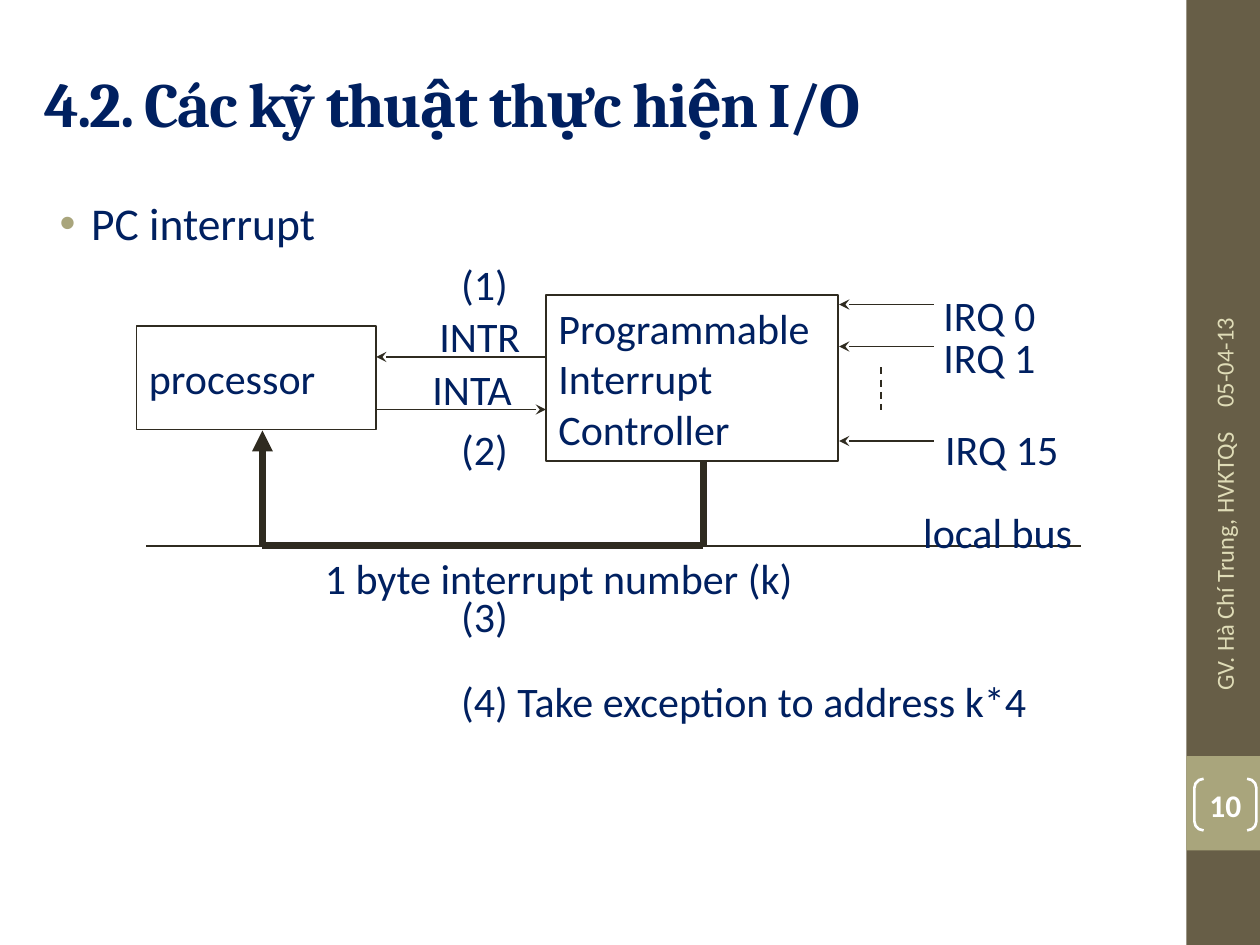
from lxml import etree
from pptx import Presentation
from pptx.dml.color import RGBColor
from pptx.enum.dml import MSO_LINE
from pptx.enum.shapes import MSO_CONNECTOR, MSO_SHAPE
from pptx.enum.text import MSO_ANCHOR, PP_ALIGN
from pptx.oxml.ns import qn
from pptx.util import Pt

RECT, BRACKETS = MSO_SHAPE.RECTANGLE, MSO_SHAPE.DOUBLE_BRACKET
STRAIGHT, DASH = MSO_CONNECTOR.STRAIGHT, MSO_LINE.DASH
TOP, MIDDLE = MSO_ANCHOR.TOP, MSO_ANCHOR.MIDDLE
LEFT, CENTER, RIGHT = PP_ALIGN.LEFT, PP_ALIGN.CENTER, PP_ALIGN.RIGHT

NAVY, INK, WHITE = "002060", "2F2B20", "FFFFFF"
BROWN, OLIVE, CREAM = "675E47", "A9A57C", "DFDCB7"


def rgb(value):
    """Turn a hex string into a colour."""
    return RGBColor.from_string(value)


def write(sp, lines, size=24, color=NAVY, font="Calibri", bold=False,
          align=LEFT, anchor=TOP, wrap=True):
    """Write one paragraph per line into a shape and return its text frame."""
    tf = sp.text_frame
    tf.word_wrap = wrap
    tf.vertical_anchor = anchor
    for i, line in enumerate(lines):
        p = tf.add_paragraph() if i else tf.paragraphs[0]
        p.alignment = align
        r = p.add_run()
        r.text = line
        r.font.name, r.font.size, r.font.bold = font, Pt(size), bold
        r.font.color.rgb = rgb(color)
    return tf


def add_title(s, text):
    """Place and format the title placeholder."""
    sp = s.shapes.title
    sp.left, sp.top, sp.width, sp.height = Pt(18), Pt(21.6), Pt(642), Pt(74)
    tf = write(sp, [text], 36, font="Cambria", bold=True, anchor=MIDDLE)
    tf.paragraphs[0].runs[0].font._element.set("spc", "-100")


def add_shape(s, kind, x, y, w, h, fill=None, line=None, weight=1):
    """Add a preset shape with the given fill and outline."""
    sp = s.shapes.add_shape(kind, Pt(x), Pt(y), Pt(w), Pt(h))
    sp.shadow.inherit = False
    if fill:
        sp.fill.solid()
        sp.fill.fore_color.rgb = rgb(fill)
    else:
        sp.fill.background()
    if line:
        sp.line.color.rgb = rgb(line)
        sp.line.width = Pt(weight)
    else:
        sp.line.fill.background()
    return sp


def add_text(s, text, x, y, w, h=36, rotation=0, wrap=False, **style):
    """Add a text box and return its text frame."""
    sp = s.shapes.add_textbox(Pt(x), Pt(y), Pt(w), Pt(h))
    sp.rotation = rotation
    return write(sp, [text], wrap=wrap, **style)


def add_bullet(s, text, x, y, w, h):
    """Add a text box holding one bulleted paragraph."""
    p = add_text(s, text, x, y, w, h, wrap=True, size=26).paragraphs[0]
    pPr = p._p.get_or_add_pPr()
    pPr.set("marL", str(Pt(27)))
    pPr.set("indent", str(Pt(-18)))
    clr = etree.SubElement(pPr, qn("a:buClr"))
    etree.SubElement(clr, qn("a:srgbClr"), val=OLIVE)
    etree.SubElement(pPr, qn("a:buFont"), typeface="Arial")
    etree.SubElement(pPr, qn("a:buChar"), char="•")


def add_line(s, x1, y1, x2, y2, weight=1, arrow=None, dash=None):
    """Add a straight line, with an optional arrowhead at its end."""
    sp = s.shapes.add_connector(STRAIGHT, Pt(x1), Pt(y1), Pt(x2), Pt(y2))
    sp.line.color.rgb = rgb(INK)
    sp.line.width = Pt(weight)
    if dash:
        sp.line.dash_style = dash
    if arrow:
        etree.SubElement(sp.line._get_or_add_ln(), qn("a:tailEnd"), type=arrow)
    etree.SubElement(sp._element.spPr, qn("a:effectLst"))


def add_sidebar(s):
    """Draw the side band with date, author and page number."""
    add_shape(s, RECT, 678, 0, 42, 540, BROWN)
    add_shape(s, RECT, 678, 432, 42, 54, OLIVE)
    style = dict(h=28.8, rotation=270, wrap=True, size=14, color=CREAM,
                 anchor=MIDDLE)
    add_text(s, "05-04-13", 603.4, 129.6, 192, **style)
    add_text(s, "GV. Hà Chí Trung, HVKTQS", 606.2, 319, 186.5, align=RIGHT,
             **style)
    sp = add_shape(s, BRACKETS, 682.5, 445, 35.5, 29.5, line=WHITE, weight=1.5)
    sp.adjustments[0] = 0.18
    tf = write(sp, ["10"], 18, WHITE, bold=True, align=CENTER, anchor=MIDDLE)
    tf.margin_left = tf.margin_right = tf.margin_top = tf.margin_bottom = 0


def add_box(s, lines, x, y, w, h):
    """Add an outlined block of the diagram."""
    sp = add_shape(s, RECT, x, y, w, h, WHITE, INK)
    write(sp, lines, anchor=MIDDLE)


def add_diagram(s):
    """Draw the interrupt blocks, signals, bus and labels."""
    add_box(s, ["Programmable", "Interrupt", "Controller"], 312, 168.5, 167, 95)
    add_box(s, ["processor"], 78, 186.5, 137, 59)

    for y in (174, 198, 252):
        add_line(s, 533.5, y, 479.5, y, arrow="stealth")
    add_line(s, 503.5, 210, 503.5, 234, dash=DASH)
    add_line(s, 312, 204, 215, 204, arrow="stealth")
    add_line(s, 215, 234, 312, 234, arrow="stealth")

    add_line(s, 83.5, 312, 161.5, 312)
    add_line(s, 402, 312, 618, 312)
    add_line(s, 402, 264, 402, 312, 4)
    add_line(s, 150, 312, 402, 312, 4)
    add_line(s, 150, 312, 150, 246, 4, "triangle")

    for text, x, y, w in (
        ("IRQ 0", 532, 162, 67),
        ("IRQ 1", 532, 186, 73),
        ("IRQ 15", 533, 238.5, 79),
        ("INTR", 244, 174, 61),
        ("INTA", 240, 204, 60),
        ("(1)", 256.5, 144, 41),
        ("(2)", 256.5, 238.5, 41),
        ("(3)", 256.5, 334, 41),
        ("(4) Take exception to address k*4", 256.5, 382.5, 340.5),
        ("1 byte interrupt number (k)", 178.5, 312, 284.5),
        ("local bus", 520.5, 286, 100),
    ):
        add_text(s, text, x, y, w)


def main():
    """Build and save the slide."""
    prs = Presentation()
    prs.slide_width, prs.slide_height = Pt(720), Pt(540)
    s = prs.slides.add_slide(prs.slide_layouts[5])
    add_title(s, "4.2. Các kỹ thuật thực hiện I/O")
    add_bullet(s, "PC interrupt", 18, 108, 642, 420)
    add_sidebar(s)
    add_diagram(s)
    prs.save("out.pptx")


if __name__ == "__main__":
    main()
